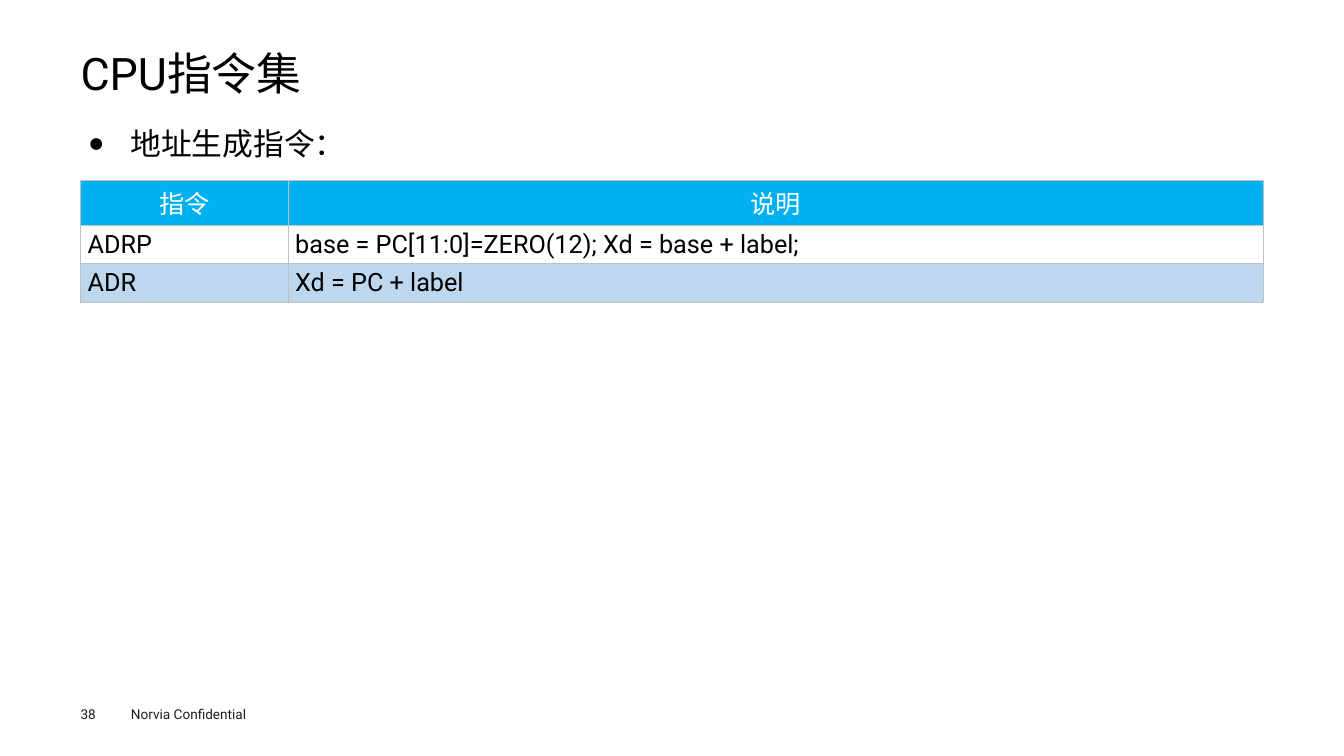
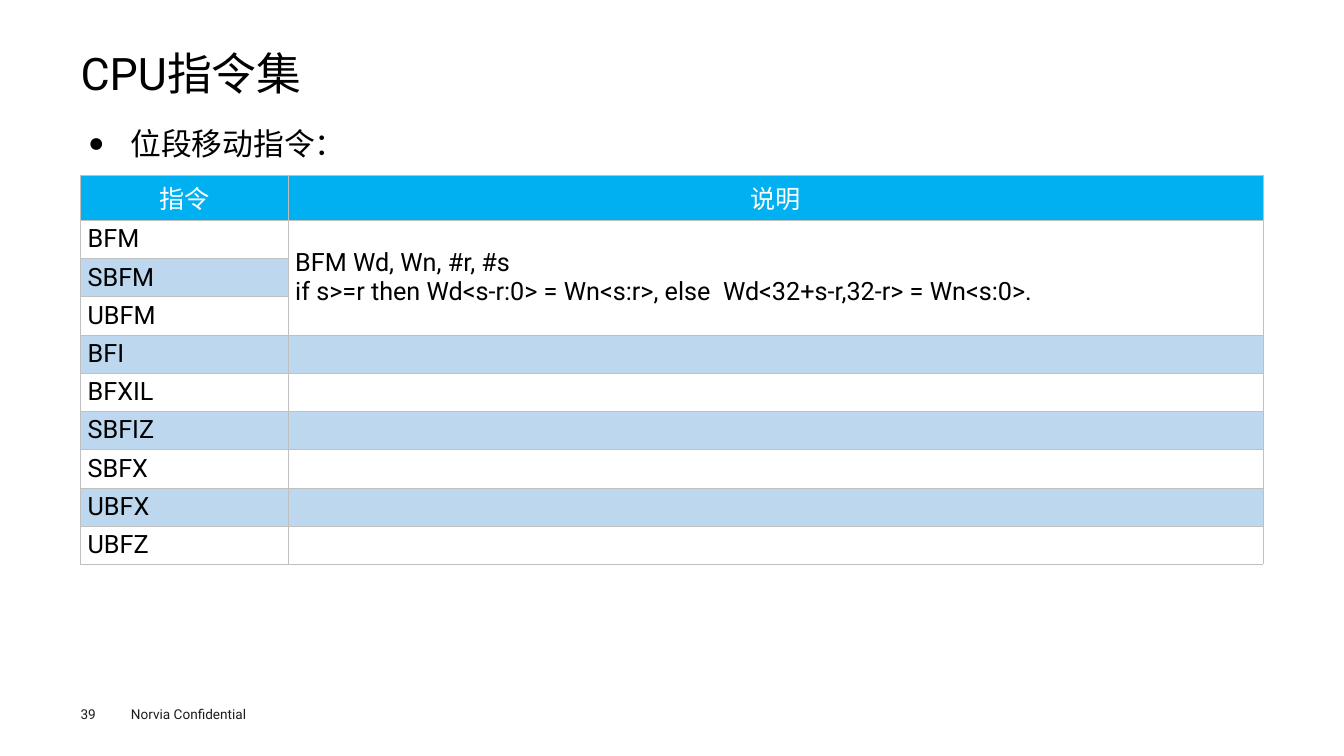
from lxml.etree import SubElement
from pptx import Presentation
from pptx.dml.color import RGBColor
from pptx.enum.lang import MSO_LANGUAGE_ID as Language
from pptx.enum.text import MSO_ANCHOR as Anchor, PP_ALIGN as Align
from pptx.oxml.ns import qn
from pptx.util import Cm, Pt

# Shared look
BLACK = RGBColor(0x00, 0x00, 0x00)
WHITE = RGBColor(0xFF, 0xFF, 0xFF)
FOOTER_GREY = RGBColor(0x1D, 0x1D, 0x1B)
HEADER_BLUE = RGBColor(0x00, 0xB0, 0xF0)
BAND_BLUE = RGBColor(0xBD, 0xD7, 0xEE)
BORDER_GREY = "C0C0C0"
FONT = "Roboto"
LEFT, WIDTH = Cm(2.03), Cm(29.8)
COLUMN_WIDTHS = Cm(5.23), Cm(24.57)
HEADER_HEIGHT, ROW_HEIGHT = Cm(1.13), Cm(0.96)

TITLE = "CPU指令集"
FOOTER = "Norvia Confidential"
HEADINGS = "指令", "说明"

# Page number, bullet text, table top, rows, rows joined in the second column
SLIDES = [
    (38, "地址生成指令：", Cm(4.55), [
        ("ADRP", "base = PC[11:0]=ZERO(12); Xd = base + label;"),
        ("ADR", "Xd = PC + label"),
    ], None),
    (39, "位段移动指令：", Cm(4.42), [
        ("BFM", "BFM Wd, Wn, #r, #s\n"
                "if s>=r then Wd<s-r:0> = Wn<s:r>, else  Wd<32+s-r,32-r> = Wn<s:0>."),
        *((name, "") for name in
          ("SBFM", "UBFM", "BFI", "BFXIL", "SBFIZ", "SBFX", "UBFX", "UBFZ")),
    ], (1, 3)),
]


def write_text(frame, text, size, color, align=Align.LEFT):
    frame.text = text
    font_format = {"name": FONT, "size": Pt(size), "bold": False,
                   "language_id": Language.SIMPLIFIED_CHINESE}
    for paragraph in frame.paragraphs:
        paragraph.alignment = align
        for part in (paragraph, *paragraph.runs):
            for name, value in font_format.items():
                setattr(part.font, name, value)
            part.font.color.rgb = color


def add_text(slide, box, text, size, color, margins=(0, 0), wrap=True,
             anchor=Anchor.TOP, align=Align.LEFT):
    frame = slide.shapes.add_textbox(*box).text_frame
    side, end = margins
    frame_format = {"word_wrap": wrap, "vertical_anchor": anchor,
                    "margin_left": side, "margin_right": side,
                    "margin_top": end, "margin_bottom": end}
    for name, value in frame_format.items():
        setattr(frame, name, value)
    write_text(frame, text, size, color, align)
    return frame.paragraphs[0]


presentation = Presentation()
presentation.slide_width, presentation.slide_height = Cm(33.87), Cm(19.05)

for number, topic, table_top, rows, joined in SLIDES:
    slide = presentation.slides.add_slide(presentation.slide_layouts[6])

    # Footer
    add_text(slide, (Cm(3.05), Cm(17.65), Cm(4.06), Cm(0.69)), FOOTER, 9.7,
             FOOTER_GREY, (Cm(0.25), Cm(0.13)), wrap=False)
    add_text(slide, (LEFT, Cm(17.78), Cm(1.4), Cm(0.41)), str(number), 9.7,
             FOOTER_GREY)

    # Title
    title = add_text(slide, (LEFT, Cm(1.24), WIDTH, Cm(1.35)), TITLE, 32,
                     BLACK, anchor=Anchor.MIDDLE)
    title.line_spacing = 0.9

    # Bullet
    bullet = add_text(slide, (LEFT, Cm(2.92), WIDTH, Cm(13.56)), topic, 22,
                      BLACK, (Cm(0.23), Cm(0.1)), align=Align.JUSTIFY)
    bullet.line_spacing = Pt(30)
    properties = bullet._p.get_or_add_pPr()
    properties.set("marL", str(Cm(1.03)))
    properties.set("indent", str(-Cm(1.03)))
    default_font = properties.find(qn("a:defRPr"))
    for tag, name, value in (("a:buSzPct", "val", "50000"),
                             ("a:buFont", "typeface", FONT),
                             ("a:buChar", "char", "●")):
        element = SubElement(properties, qn(tag), {name: value})
        default_font.addprevious(element)

    # Table
    height = HEADER_HEIGHT + ROW_HEIGHT * len(rows)
    table = slide.shapes.add_table(len(rows) + 1, 2, LEFT, table_top,
                                   WIDTH, height).table
    table.first_row = table.horz_banding = False
    for column, width in zip(table.columns, COLUMN_WIDTHS):
        column.width = width

    for row_index, texts in enumerate([HEADINGS, *rows]):
        header = row_index == 0
        table.rows[row_index].height = HEADER_HEIGHT if header else ROW_HEIGHT
        for column_index, text in enumerate(texts):
            cell = table.cell(row_index, column_index)
            write_text(cell.text_frame, text, 18, WHITE if header else BLACK,
                       Align.CENTER if header else Align.LEFT)
            cell_format = {"vertical_anchor": Anchor.MIDDLE,
                           "margin_left": Cm(0.18), "margin_right": Cm(0.18),
                           "margin_top": Cm(0.1), "margin_bottom": Cm(0.1)}
            for name, value in cell_format.items():
                setattr(cell, name, value)
            for side in ("a:lnL", "a:lnR", "a:lnT", "a:lnB"):
                line = SubElement(cell._tc.get_or_add_tcPr(), qn(side),
                                  w=str(Pt(0.38)))
                fill = SubElement(line, qn("a:solidFill"))
                SubElement(fill, qn("a:srgbClr"), val=BORDER_GREY)
            if header or row_index % 2 == 0:
                cell.fill.solid()
                cell.fill.fore_color.rgb = HEADER_BLUE if header else BAND_BLUE
            else:
                cell.fill.background()

    if joined:
        first, last = joined
        table.cell(first, 1).merge(table.cell(last, 1))

presentation.save("out.pptx")
